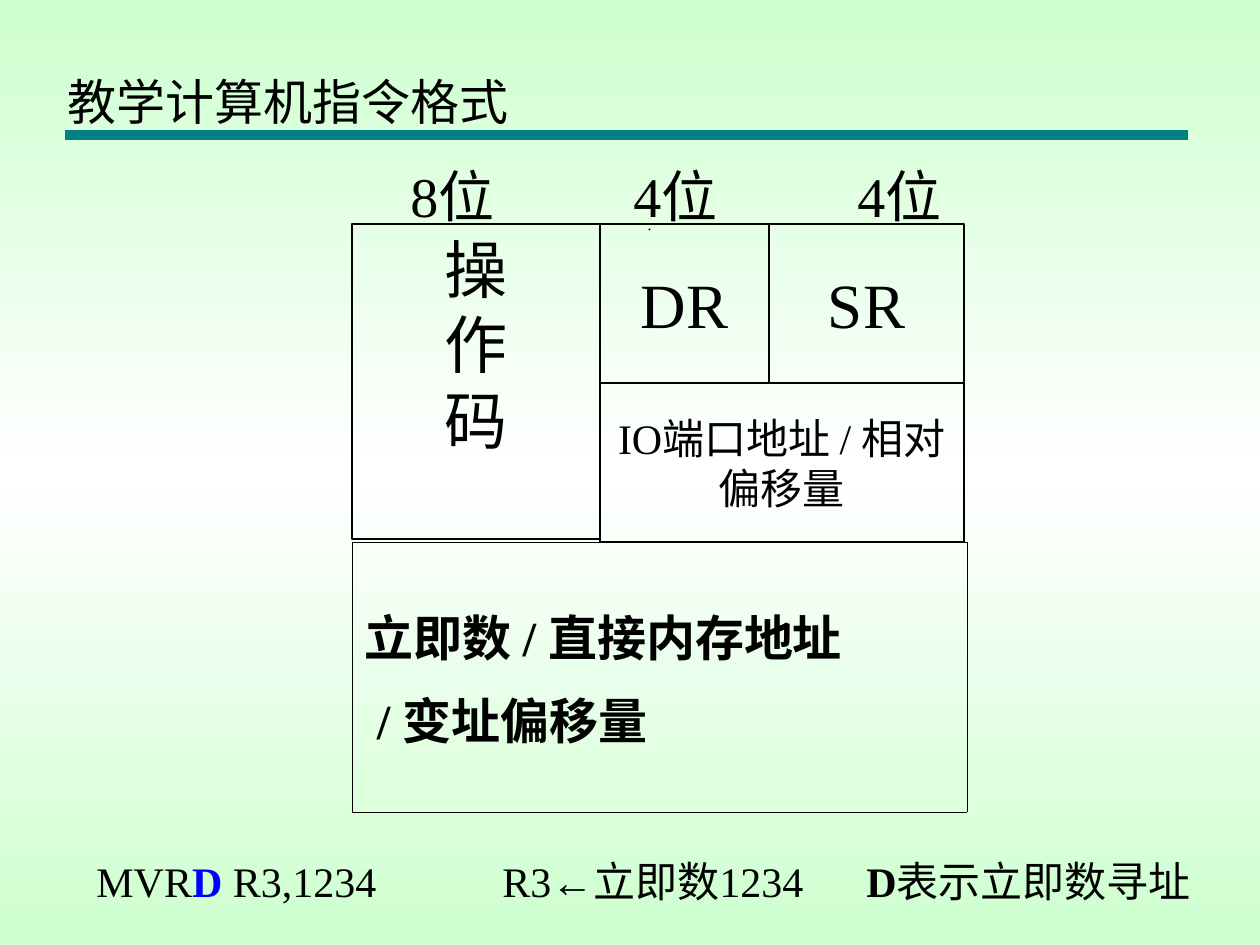
from copy import deepcopy

from lxml.etree import SubElement
from pptx import Presentation
from pptx.dml.color import RGBColor
from pptx.enum.shapes import MSO_CONNECTOR, MSO_SHAPE
from pptx.enum.text import MSO_ANCHOR, MSO_AUTO_SIZE, PP_ALIGN
from pptx.oxml.ns import qn
from pptx.util import Emu, Pt

BLACK = RGBColor(0x00, 0x00, 0x00)
BLUE = RGBColor(0x00, 0x00, 0xFF)
TEAL = RGBColor(0x00, 0x80, 0x80)
MINT = RGBColor(0xCD, 0xFF, 0xCE)
WHITE = RGBColor(0xFF, 0xFF, 0xFF)
SERIF = "Times New Roman"
PX = 914400 / 126


def px(*lengths):
    return [Emu(round(length * PX)) for length in lengths]


def write(frame, *lines, size, font=SERIF, align=PP_ALIGN.LEFT,
          anchor=MSO_ANCHOR.MIDDLE, tabs=(), gap=0):
    """Fill a frame; each line is a list of (text, bold, colour) spans."""
    frame.word_wrap = True
    frame.auto_size = MSO_AUTO_SIZE.NONE
    frame.vertical_anchor = anchor
    for number, line in enumerate(lines):
        para = frame.add_paragraph() if number else frame.paragraphs[0]
        para.alignment = align
        if number and gap:
            para.space_before = Pt(gap)
        if tabs:
            tab_list = SubElement(para._p.get_or_add_pPr(), qn("a:tabLst"))
            for stop in px(*tabs):
                SubElement(tab_list, qn("a:tab"), pos=str(stop), algn="l")
        for text, bold, color in line:
            span = para.add_run()
            span.text = text
            span.font.name = font
            span.font.size = Pt(size)
            span.font.bold = bold
            span.font.color.rgb = color


deck = Presentation()
deck.slide_width, deck.slide_height = px(1260, 945)
page = deck.slides.add_slide(deck.slide_layouts[5])

# Background: mint, white, mint
backdrop = page.background.fill
backdrop.gradient()
backdrop.gradient_angle = 90
stop_list = page._element.xpath(".//a:gsLst")[0]
stop_list.append(deepcopy(stop_list[0]))
for stop, position, color in zip(backdrop.gradient_stops, (0, 0.5, 1), (MINT, WHITE, MINT)):
    stop.position = position
    stop.color.rgb = color

# Title
title = page.shapes.title
title.left, title.top, title.width, title.height = px(55, 21, 1130, 116)
write(title.text_frame, [("教学计算机指令格式", False, BLACK)],
      size=28, font="Montserrat", anchor=MSO_ANCHOR.BOTTOM)

# Title rule and the small tick above DR
for ends, color, weight in (((65, 135, 1188, 135), TEAL, 6),
                            ((649, 229, 650, 230), BLACK, 1)):
    rule = page.shapes.add_connector(MSO_CONNECTOR.STRAIGHT, *px(*ends))
    rule.line.color.rgb = color
    rule.line.width = Pt(weight)
    SubElement(rule._element.spPr, qn("a:effectLst"))

# Instruction fields
fields = [
    ((600, 383, 364, 159), ["IO端口地址 / 相对偏移量"], 24, MSO_ANCHOR.MIDDLE),
    ((769, 224, 195, 159), ["SR"], 36, MSO_ANCHOR.MIDDLE),
    ((600, 224, 169, 159), ["DR"], 36, MSO_ANCHOR.MIDDLE),
    ((352, 224, 248, 315), ["操", "作", "码"], 36, MSO_ANCHOR.TOP),
]
for place, words, size, anchor in fields:
    field = page.shapes.add_shape(MSO_SHAPE.RECTANGLE, *px(*place))
    field.shadow.inherit = False
    field.fill.background()
    field.line.color.rgb = BLACK
    field.line.width = Pt(0.75)
    write(field.text_frame, *[[(word, False, BLACK)] for word in words],
          size=size, align=PP_ALIGN.CENTER, anchor=anchor)

# Second instruction word
table = page.shapes.add_table(1, 1, *px(352, 542, 615, 270)).table
table.first_row = table.horz_banding = False
cell = table.cell(0, 0)
cell.vertical_anchor = MSO_ANCHOR.MIDDLE
write(cell.text_frame, [("立即数 / 直接内存地址", True, BLACK)],
      [(" / 变址偏移量", True, BLACK)], size=28, gap=7)
cell_format = cell._tc.get_or_add_tcPr()
for side in ("a:lnL", "a:lnR", "a:lnT", "a:lnB"):
    border = SubElement(cell_format, qn(side), w=str(Pt(0.45)))
    SubElement(SubElement(border, qn("a:solidFill")), qn("a:srgbClr"), val=str(BLACK))
cell.fill.background()

# Field widths and the worked example
notes = [
    ((173, 155, 795, 81), [("\t8位\t4位\t4位", False, BLACK)], 32, (225, 448, 672)),
    ((84, 849, 762, 63), [("MVR", False, BLACK), ("D", True, BLUE),
                          (" R3,1234\tR3←立即数1234", False, BLACK)], 24, (406,)),
    ((854, 849, 369, 63), [("D", True, BLACK), ("表示立即数寻址", False, BLACK)], 24, ()),
]
for place, line, size, tabs in notes:
    box = page.shapes.add_textbox(*px(*place))
    write(box.text_frame, line, size=size, tabs=tabs)

deck.save("out.pptx")
